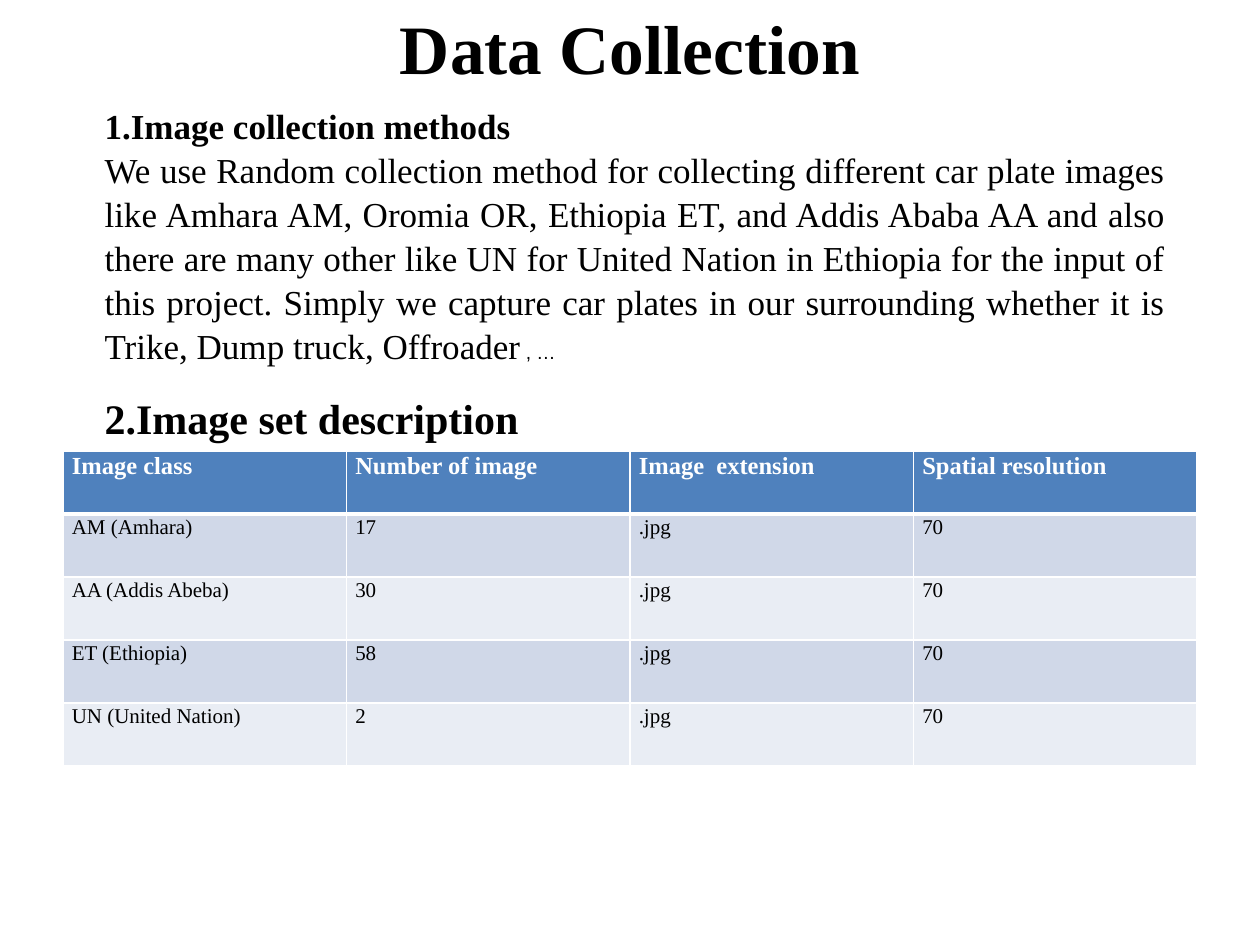
"""Build the data collection slide with its text and image table."""
from lxml.etree import SubElement
from pptx import Presentation
from pptx.dml.color import RGBColor
from pptx.enum.text import MSO_ANCHOR as Anchor, MSO_AUTO_SIZE as AutoSize, PP_ALIGN as Align
from pptx.oxml.ns import qn
from pptx.util import Inches, Pt

SERIF = "Times New Roman"
WIDTH, HEIGHT = 10, 7.5
MARGIN = WIDTH * 0.05
TABLE_TOP, ROW_HEIGHT = 3.58, 0.5
HEADER_FILL, BAND_FILLS = "4F81BD", ("D0D8E8", "E9EDF4")

TITLE = "Data Collection"
METHOD = (
    "We use Random collection method for collecting different car plate images like "
    "Amhara AM, Oromia OR, Ethiopia ET, and Addis Ababa AA and also there are many other "
    "like UN for United Nation in Ethiopia for the input of this project. Simply we capture "
    "car plates in our surrounding whether it is Trike, Dump truck, Offroader"
)
BODY = [
    {"numbered": True, "before": 0, "spans": [("Image collection methods", {"size": 20, "bold": True})]},
    {"numbered": False, "before": 0, "spans": [(METHOD, {"size": 20}),
                                               (" , …", {"size": 11, "font": "Arial"})]},
    {"numbered": False, "before": 13.5, "spans": [("2.Image set description", {"size": 24, "bold": True})]},
]
TABLE = [
    ("Image class", "Number of image", "Image  extension", "Spatial resolution"),
    ("AM (Amhara)", "17", ".jpg", "70"),
    ("AA (Addis Abeba)", "30", ".jpg", "70"),
    ("ET (Ethiopia)", "58", ".jpg", "70"),
    ("UN (United Nation)", "2", ".jpg", "70"),
]


def color(value):
    return RGBColor.from_string(value)


def add_span(para, text, size=12, bold=False, font=SERIF, ink="000000"):
    span = para.add_run()
    span.text = text
    span.font.size, span.font.bold, span.font.name = Pt(size), bold, font
    span.font.color.rgb = color(ink)


def place(box, left, top, width, height):
    box.left, box.top, box.width, box.height = map(Inches, (left, top, width, height))


def set_margins(target, left, top, right, bottom):
    target.margin_left, target.margin_top = Inches(left), Inches(top)
    target.margin_right, target.margin_bottom = Inches(right), Inches(bottom)


def set_marker(para, numbered):
    props = para._p.get_or_add_pPr()
    props.set("marL", str(Inches(0.5)))
    props.set("indent", "0")
    if numbered:
        SubElement(props, qn("a:buFont"), typeface="+mj-lt")
        SubElement(props, qn("a:buAutoNum"), type="arabicPeriod")
    else:
        SubElement(props, qn("a:buNone"))


def set_border(cell, side, width):
    line = SubElement(cell._tc.get_or_add_tcPr(), qn(f"a:ln{side}"), w=str(Pt(width)))
    SubElement(SubElement(line, qn("a:solidFill")), qn("a:srgbClr"), val="FFFFFF")


def fill_title(box):
    place(box, MARGIN, 0.3, WIDTH - 2 * MARGIN, 0.78)
    frame = box.text_frame
    frame.auto_size, frame.vertical_anchor = AutoSize.NONE, Anchor.MIDDLE
    set_margins(frame, 0.1, 0.05, 0.1, 0.68)
    para = frame.paragraphs[0]
    para.alignment = Align.CENTER
    add_span(para, TITLE, size=39.6, bold=True)


def fill_body(box):
    place(box, -0.42, 0.75, 9.67, 3.18)
    frame = box.text_frame
    frame.auto_size, frame.vertical_anchor = AutoSize.NONE, Anchor.TOP
    set_margins(frame, 0.75, 0.06, 0, 0)
    for index, item in enumerate(BODY):
        para = frame.add_paragraph() if index else frame.paragraphs[0]
        para.alignment, para.line_spacing = Align.JUSTIFY, 1.05
        para.space_before = Pt(item["before"])
        set_marker(para, item["numbered"])
        for text, style in item["spans"]:
            add_span(para, text, **style)


def add_image_table(page):
    rows, columns = len(TABLE), len(TABLE[0])
    table = page.shapes.add_table(
        rows, columns, Inches(MARGIN), Inches(TABLE_TOP),
        Inches(WIDTH - 2 * MARGIN), Inches(rows * ROW_HEIGHT)).table
    for row, texts in enumerate(TABLE):
        header = row == 0
        for column, text in enumerate(texts):
            cell = table.cell(row, column)
            set_margins(cell, 0.07, 0, 0.07, 0)
            para = cell.text_frame.paragraphs[0]
            para.line_spacing = 1.07
            add_span(para, text, size=14 if header else 12, bold=header,
                     ink="FFFFFF" if header else "000000")
            widths = {"L": 1, "R": 1, "T": 3 if row == 1 else 1, "B": 3 if header else 1}
            for side, width in widths.items():
                set_border(cell, side, width)
            cell.fill.solid()
            cell.fill.fore_color.rgb = color(HEADER_FILL if header else BAND_FILLS[(row - 1) % 2])


def main():
    deck = Presentation()
    deck.slide_width, deck.slide_height = Inches(WIDTH), Inches(HEIGHT)
    page = deck.slides.add_slide(deck.slide_layouts[1])
    fill_title(page.shapes.title)
    fill_body(page.placeholders[1])
    add_image_table(page)
    deck.save("out.pptx")


if __name__ == "__main__":
    main()
